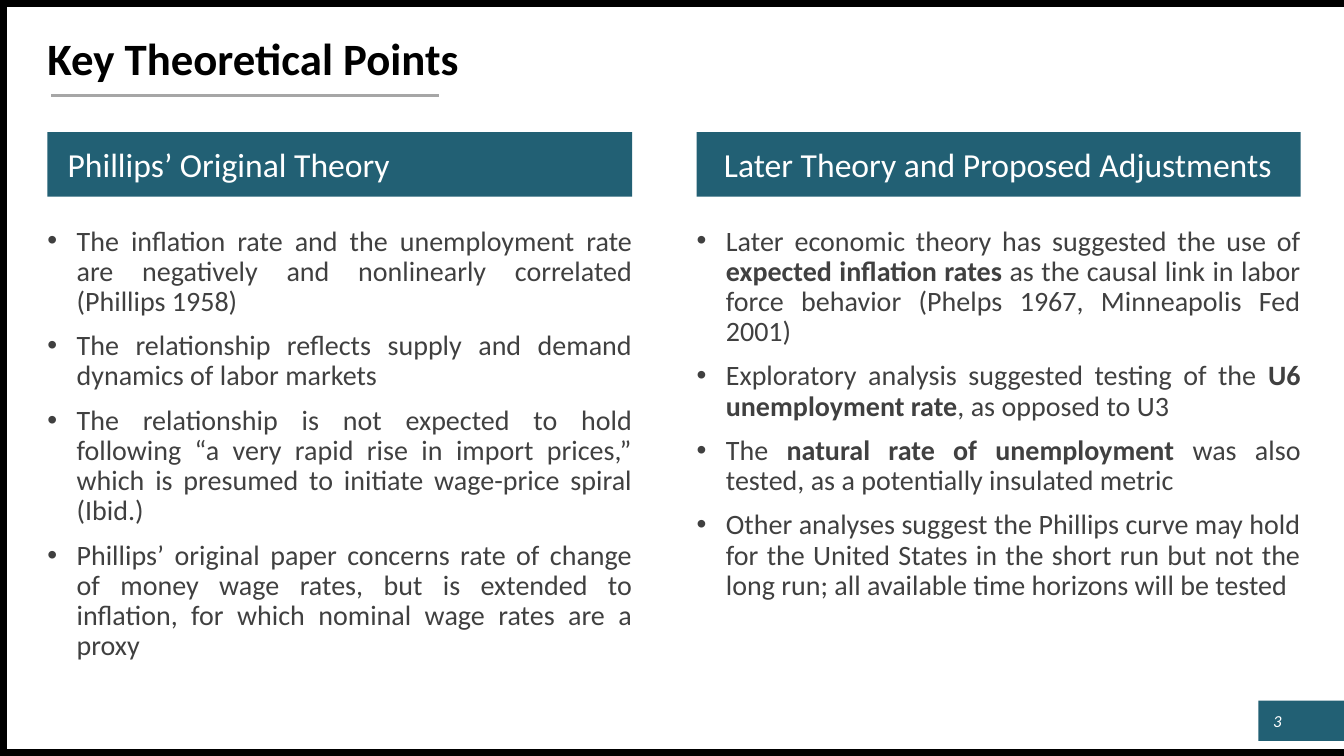
from lxml.etree import SubElement
from pptx import Presentation
from pptx.dml.color import RGBColor
from pptx.enum.shapes import MSO_CONNECTOR as Connector, MSO_SHAPE as Shape
from pptx.enum.text import MSO_ANCHOR as Anchor, MSO_AUTO_SIZE as AutoSize, PP_ALIGN as Align
from pptx.oxml.ns import qn
from pptx.util import Inches, Pt

WIDTH, HEIGHT = 13.33, 7.5
COLORS = {
    "frame": "000000",
    "title": "000000",
    "teal": "226074",
    "body": "404040",
    "rule": "A6A6A6",
    "white": "FFFFFF",
}

# Each column: left, width, header inset, header, bullets (** marks bold)
COLUMNS = [
    (0.47, 5.8, 0.2, "Phillips’ Original Theory", [
        "The inflation rate and the unemployment rate are negatively and nonlinearly "
        "correlated (Phillips 1958)",
        "The relationship reflects supply and demand dynamics of labor markets",
        "The relationship is not expected to hold following “a very rapid rise in import "
        "prices,” which is presumed to initiate wage-price spiral (Ibid.)",
        "Phillips’ original paper concerns rate of change of money wage rates, but is "
        "extended to inflation, for which nominal wage rates are a proxy",
    ]),
    (6.91, 5.99, 0.27, "Later Theory and Proposed Adjustments", [
        "Later economic theory has suggested the use of **expected inflation rates **"
        "as the causal link in labor force behavior (Phelps 1967, Minneapolis Fed 2001)",
        "Exploratory analysis suggested testing of the **U6 unemployment rate**, "
        "as opposed to U3",
        "The **natural rate of unemployment** was also tested, as a potentially "
        "insulated metric",
        "Other analyses suggest the Phillips curve may hold for the United States in the "
        "short run but not the long run; all available time horizons will be tested",
    ]),
]


class SlideBuilder:
    """Holds the style and the current slide."""

    font = "Calibri"

    def __init__(self, page):
        self.page = page

    def color(self, name):
        return RGBColor.from_string(COLORS[name])

    def place(self, box, left, top, width, height):
        box.left, box.top = Inches(left), Inches(top)
        box.width, box.height = Inches(width), Inches(height)

    def frame(self, box, anchor=Anchor.MIDDLE, inset=(0, 0)):
        text = box.text_frame
        text.word_wrap = True
        text.auto_size = AutoSize.NONE
        text.vertical_anchor = anchor
        text.margin_left, text.margin_top = Inches(inset[0]), Inches(inset[1])
        text.margin_right = text.margin_bottom = 0
        return text

    def style(self, para, size, color, align=Align.LEFT, bold=None, italic=None,
              spacing=0.9, before=0):
        para.alignment = align
        para.line_spacing = spacing
        para.space_before = Pt(before)
        para.font.name = self.font
        para.font.size = Pt(size)
        para.font.color.rgb = self.color(color)
        para.font.bold, para.font.italic = bold, italic

    def line(self, start, end, color, weight):
        points = [Inches(value) for value in (*start, *end)]
        line = self.page.shapes.add_connector(Connector.STRAIGHT, *points)
        line.line.color.rgb = self.color(color)
        line.line.width = Pt(weight)
        SubElement(line._element.spPr, qn("a:effectLst"))

    def title(self, text, *area):
        box = self.page.shapes.title
        self.place(box, *area)
        para = self.frame(box).paragraphs[0]
        para.text = text
        self.style(para, 32, "title", bold=True)

    def header(self, index, text, inset, *area):
        box = self.page.placeholders[index]
        self.place(box, *area)
        box.fill.solid()
        box.fill.fore_color.rgb = self.color("teal")
        para = self.frame(box, inset=(inset, 0.04)).paragraphs[0]
        para.text = text
        self.style(para, 24, "white", bold=False, before=10)

    def bullets(self, index, items, *area):
        box = self.page.placeholders[index]
        self.place(box, *area)
        text = self.frame(box, Anchor.TOP)
        for number, item in enumerate(items):
            para = text.add_paragraph() if number else text.paragraphs[0]
            for position, part in enumerate(item.split("**")):
                span = para.add_run()
                span.text = part
                if position % 2:
                    span.font.bold = True
            self.style(para, 20, "body", Align.JUSTIFY, before=10)
            properties = para._p.get_or_add_pPr()
            properties.set("marL", str(Inches(0.29)))
            properties.set("indent", str(-Inches(0.29)))
            SubElement(properties, qn("a:buChar"), char="•")
            # The default run properties must follow the bullet
            properties.append(properties.find(qn("a:defRPr")))

    def block(self, color, *area):
        box = self.page.shapes.add_shape(Shape.RECTANGLE, *map(Inches, area))
        box.shadow.inherit = False
        box.fill.solid()
        box.fill.fore_color.rgb = self.color(color)
        box.line.fill.background()

    def page_number(self, text, *area):
        box = self.page.shapes.add_textbox(*map(Inches, area))
        para = self.frame(box).paragraphs[0]
        para.text = text
        self.style(para, 12, "white", Align.CENTER, italic=True, spacing=1.0)


def main():
    deck = Presentation()
    deck.slide_width, deck.slide_height = Inches(WIDTH), Inches(HEIGHT)
    comparison = deck.slide_layouts.get_by_name("Comparison")
    builder = SlideBuilder(deck.slides.add_slide(comparison))

    # Black frame on three sides
    edge = 0.03
    builder.line((0, edge), (WIDTH, edge), "frame", 5)
    builder.line((0, HEIGHT - edge), (WIDTH, HEIGHT - edge), "frame", 5)
    builder.line((edge, 0), (edge, HEIGHT), "frame", 5)

    # Title with its rule
    builder.title("Key Theoretical Points", 0.47, 0.37, 10.06, 0.47)
    builder.line((0.51, 0.95), (4.35, 0.95), "rule", 2.25)

    # Two columns: header bar over a bulleted list
    for number, (left, width, inset, header, items) in enumerate(COLUMNS):
        builder.header(2 * number + 1, header, inset, left, 1.31, width, 0.64)
        builder.bullets(2 * number + 2, items, left, 2.25, width, 4.71)

    # Page number badge
    builder.block("teal", 12.48, 6.95, 0.85, 0.4)
    builder.page_number("3", 12.52, 7, 0.3, 0.3)

    deck.save("out.pptx")


if __name__ == "__main__":
    main()
